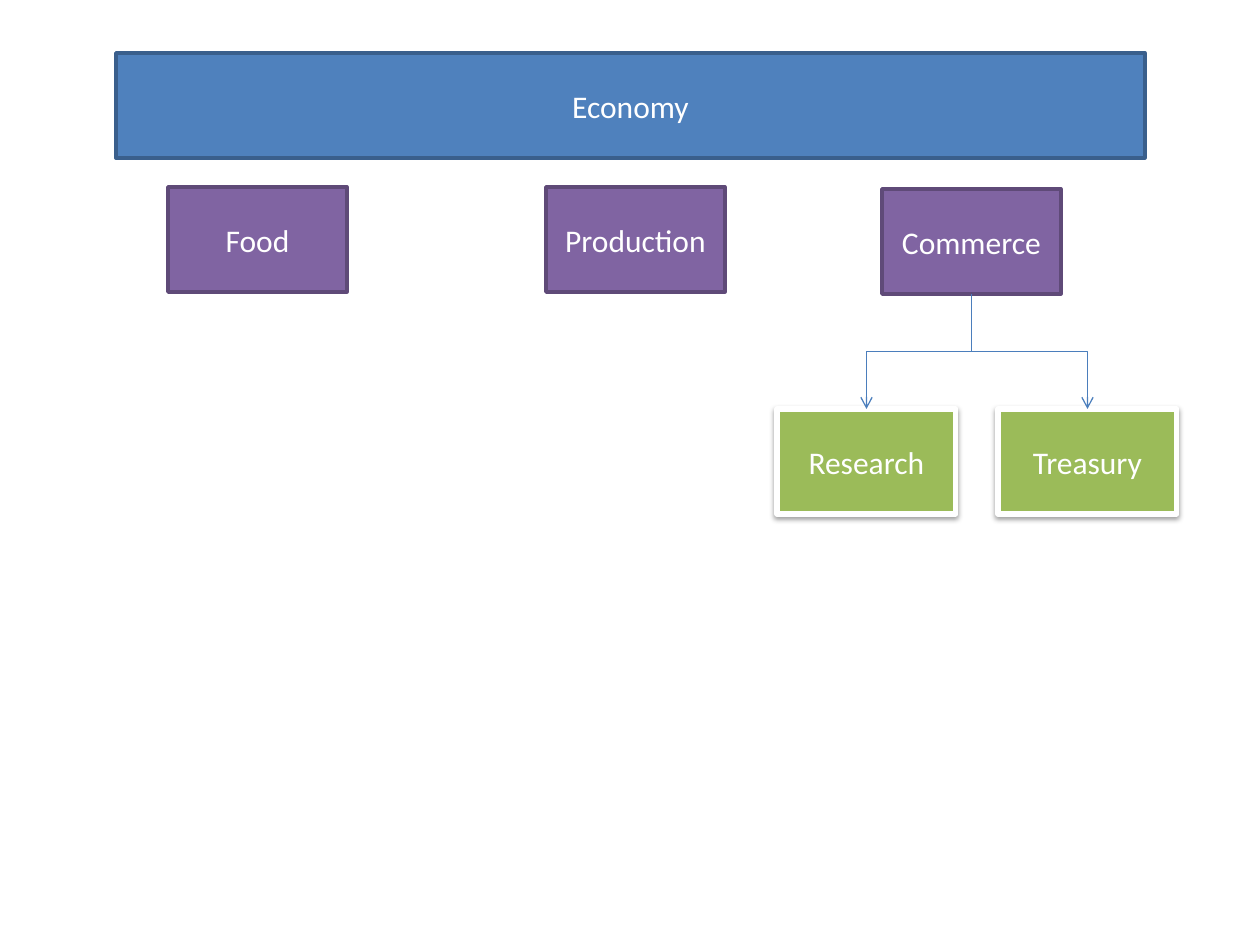
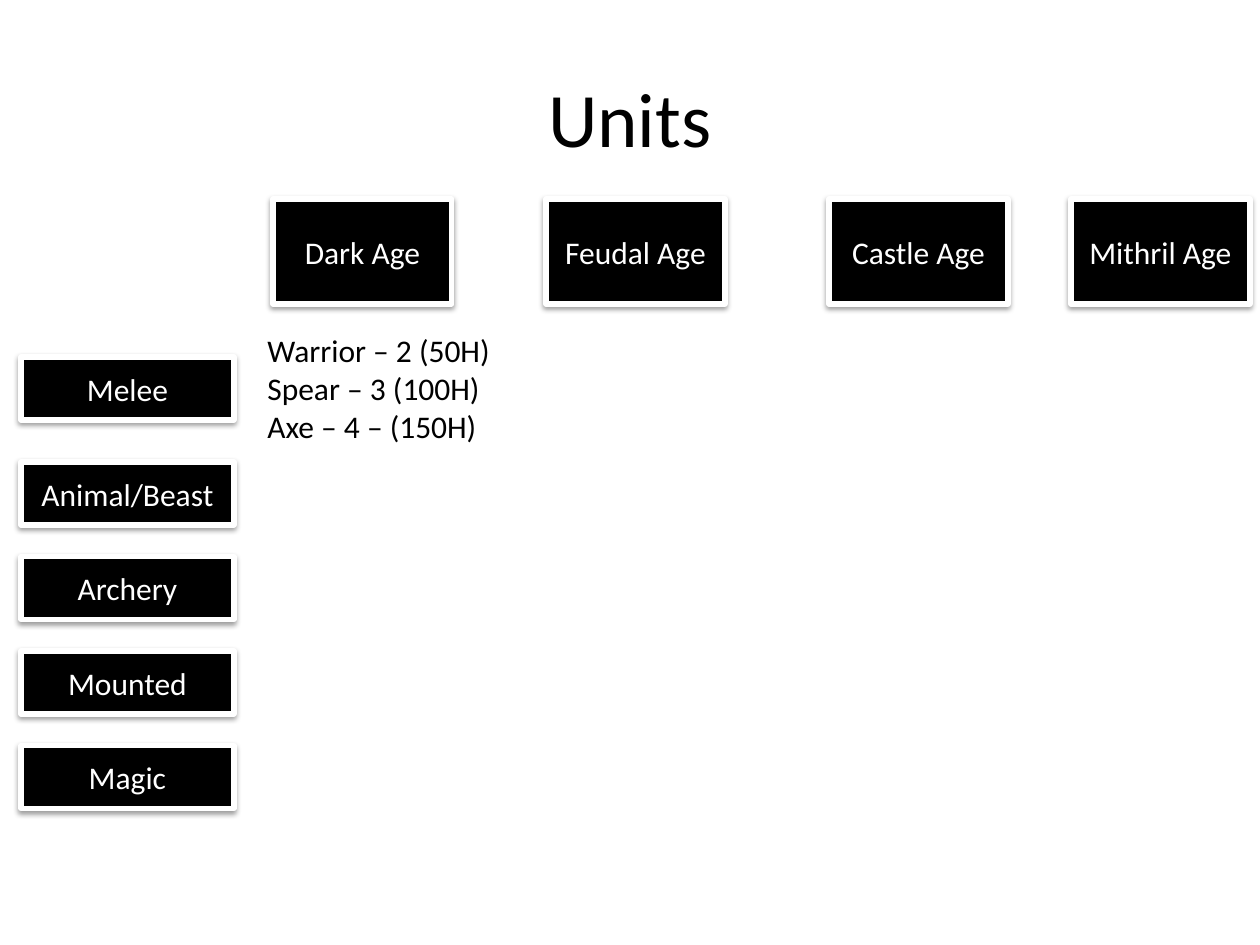
from dataclasses import dataclass

from lxml.etree import SubElement
from pptx import Presentation
from pptx.dml.color import RGBColor
from pptx.enum.shapes import MSO_CONNECTOR as Connector, MSO_SHAPE as Shape
from pptx.enum.text import MSO_ANCHOR as Anchor, MSO_AUTO_SIZE as AutoSize, PP_ALIGN as Align
from pptx.oxml.ns import qn
from pptx.util import Emu, Pt

# Content: names with their places in pixels
ECONOMY = ("Economy", (116, 53, 1029, 105))
SECTORS = [("Food", (168, 187)), ("Production", (546, 187)), ("Commerce", (882, 189))]
COMMERCE_USES = [("Research", (777, 409)), ("Treasury", (998, 409))]

UNITS_TITLE = ("Units", (63, 38, 1134, 158))
AGES = [("Dark Age", 273), ("Feudal Age", 546), ("Castle Age", 829), ("Mithril Age", 1071)]
AGE_TOP = 199
FIRST_CLASS = ("Melee", 357)
OTHER_CLASSES = ["Animal/Beast", "Archery", "Mounted", "Magic"]
CLASS_LEFT, CLASS_TOP, CLASS_STEP = 21, 462, 94.5
DARK_AGE_MELEE = (["Warrior – 2 (50H)", "Spear – 3 (100H)", "Axe – 4 – (150H)"],
                  (255, 325, 271, 127))

PAGE_SIZE = (1260, 945)
CARD_SIZE = (179, 105)
CLASS_SIZE = (213, 63)
EMU_PER_PIXEL = 914400 / 126


@dataclass(frozen=True)
class BoxStyle:
    """Fill, outline and shadow of a box."""
    fill: str
    line: str
    weight: float
    shadow: bool


@dataclass(frozen=True)
class Theme:
    """Colours, font and type sizes of the deck."""
    font: str = "Calibri"
    title_size: int = 44
    body_size: int = 18
    ink: str = "000000"
    paper: str = "FFFFFF"
    arrow: str = "4B7EBC"
    arrow_weight: float = 0.75
    banner: BoxStyle = BoxStyle("4F81BD", "3A5F8C", 2, False)
    sector: BoxStyle = BoxStyle("8064A2", "5F4A78", 2, False)
    use: BoxStyle = BoxStyle("9BBB59", "FFFFFF", 3, True)
    label: BoxStyle = BoxStyle("000000", "FFFFFF", 3, True)


THEME = Theme()


def px(*pixels):
    """Turn pixels into EMU lengths."""
    return [Emu(round(pixel * EMU_PER_PIXEL)) for pixel in pixels]


def rgb(code):
    """Give the colour of a hex code."""
    return RGBColor.from_string(code)


def write(shape, lines, color, size=THEME.body_size, align=None, anchor=Anchor.TOP):
    """Write one paragraph per line into a shape."""
    frame = shape.text_frame
    frame.word_wrap = True
    frame.vertical_anchor = anchor
    frame.text = "\n".join(lines)
    for para in frame.paragraphs:
        para.alignment = align
        para.font.name = THEME.font
        para.font.size = Pt(size)
        para.font.color.rgb = rgb(color)


def add_shadow(shape):
    """Put a soft shadow straight below a shape."""
    effects = shape.element.spPr.find(qn("a:effectLst"))
    shadow = SubElement(effects, qn("a:outerShdw"), blurRad=str(Pt(3.1)),
                        dist=str(Pt(1.6)), dir="5400000", rotWithShape="0")
    color = SubElement(shadow, qn("a:srgbClr"), val=THEME.ink)
    SubElement(color, qn("a:alpha"), val="38000")


def add_box(page, name, place, style):
    """Add a rectangle with a centred name."""
    box = page.shapes.add_shape(Shape.RECTANGLE, *px(*place))
    box.shadow.inherit = False
    box.fill.solid()
    box.fill.fore_color.rgb = rgb(style.fill)
    box.line.color.rgb = rgb(style.line)
    box.line.width = Pt(style.weight)
    if style.shadow:
        add_shadow(box)
    write(box, [name], THEME.paper, align=Align.CENTER, anchor=Anchor.MIDDLE)
    return box


def add_branch(page, parent, child):
    """Join two boxes by an elbow arrow that leaves and arrives vertically."""
    start_x, start_y = parent.left + parent.width // 2, parent.top + parent.height
    end_x, end_y = child.left + child.width // 2, child.top
    branch = page.shapes.add_connector(Connector.ELBOW, start_x, start_y, end_x, end_y)
    branch.begin_connect(parent, 2)
    branch.end_connect(child, 0)

    # The elbow runs sideways by default, so it is laid out turned by a quarter
    across, down = abs(end_x - start_x), end_y - start_y
    branch.left = Emu((start_x + end_x - down) // 2)
    branch.top = Emu((start_y + end_y - across) // 2)
    branch.width, branch.height = Emu(down), Emu(across)
    to_right = end_x > start_x
    properties = branch.element.spPr
    frame = properties.find(qn("a:xfrm"))
    frame.set("rot", "16200000" if to_right else "5400000")
    frame.set("flipH", "1" if to_right else "0")
    frame.set("flipV", "0")

    branch.line.color.rgb = rgb(THEME.arrow)
    branch.line.width = Pt(THEME.arrow_weight)
    SubElement(properties.find(qn("a:ln")), qn("a:tailEnd"), type="arrow")
    SubElement(properties, qn("a:effectLst"))


def build_economy(page):
    """Draw the economy chart with its sectors."""
    add_box(page, *ECONOMY, THEME.banner)
    sectors = {name: add_box(page, name, corner + CARD_SIZE, THEME.sector)
               for name, corner in SECTORS}
    uses = [add_box(page, name, corner + CARD_SIZE, THEME.use)
            for name, corner in COMMERCE_USES]
    for use in uses:
        add_branch(page, sectors["Commerce"], use)


def build_units(page):
    """Draw the grid of unit classes by age."""
    title, place = UNITS_TITLE
    write(page.shapes.add_textbox(*px(*place)), [title], THEME.ink,
          THEME.title_size, Align.CENTER, Anchor.MIDDLE)
    units, place = DARK_AGE_MELEE
    unit_list = page.shapes.add_textbox(*px(*place))
    write(unit_list, units, THEME.ink)
    unit_list.text_frame.auto_size = AutoSize.SHAPE_TO_FIT_TEXT

    for name, left in AGES:
        add_box(page, name, (left, AGE_TOP) + CARD_SIZE, THEME.label)
    classes = [FIRST_CLASS] + [(name, CLASS_TOP + row * CLASS_STEP)
                               for row, name in enumerate(OTHER_CLASSES)]
    for name, top in classes:
        add_box(page, name, (CLASS_LEFT, top) + CLASS_SIZE, THEME.label)


deck = Presentation()
deck.slide_width, deck.slide_height = px(*PAGE_SIZE)
blank = deck.slide_layouts[6]
for build in (build_economy, build_units):
    build(deck.slides.add_slide(blank))
deck.save("out.pptx")
